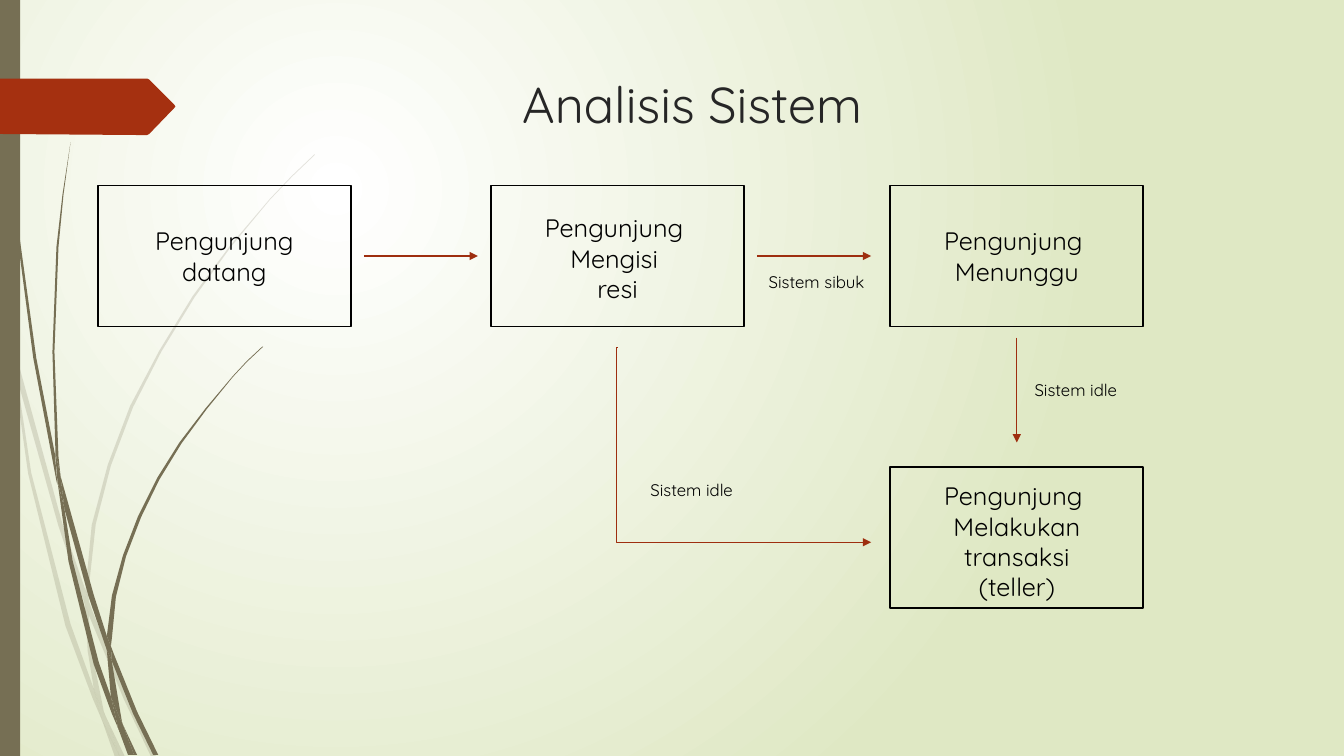
import dataclasses

import lxml.etree
import pptx
import pptx.dml.color
import pptx.enum.shapes
import pptx.enum.text
import pptx.oxml.ns
import pptx.util

Inches = pptx.util.Inches
qn = pptx.oxml.ns.qn


@dataclasses.dataclass(frozen=True)
class Theme:
    """Colours, font and type sizes of the slide."""
    font: str = "Quicksand"
    title_size: int = 36
    box_size: int = 18
    label_size: int = 12
    title: str = "262626"
    text: str = "000000"
    arrow: str = "9E2E0F"
    marker: str = "A53010"
    stem: str = "766F54"
    glow: str = "FFFFFF"
    backdrop: str = "DFE8C4"


THEME = Theme()

# Outlines of the grass blades, as points on the slide.
PALE_BLADES = [
    [(.11, 3.5), (.09, 3.22), (0, 2.82), (0, 2.99), (.1, 3.44)],
    [(.58, 5.22), (.84, 5.99), (.85, 5.86), (.62, 5.2), (.14, 3.45), (.17, 3.76)],
    [(.92, 6.07), (.88, 5.96), (.88, 6.1), (1.23, 6.94), (1.5, 7.51), (1.55, 7.51),
     (1.27, 6.92)],
    [(1.19, 7.51), (1.24, 7.51), (1.05, 7.11)],
    [(.93, 6.83), (.7, 6.19), (.31, 4.69), (.17, 3.76), (.11, 3.5), (.28, 4.7),
     (.65, 6.21), (.92, 6.93), (1.01, 7.14), (.99, 7.07)],
    [(.84, 5.99), (.87, 6.46), (.93, 6.83), (.96, 6.92), (1.05, 7.11), (1.03, 7.06),
     (.91, 6.46), (.88, 6.1), (.88, 6.08)],
    [(.88, 5.84), (.95, 5.2), (1.1, 4.62), (1.32, 4.04), (1.6, 3.49), (1.93, 2.95),
     (2.29, 2.45), (2.68, 1.98), (2.9, 1.75), (3.12, 1.54), (3.12, 1.53), (2.89, 1.75),
     (2.68, 1.97), (2.28, 2.44), (1.91, 2.94), (1.58, 3.48), (1.29, 4.03), (1.07, 4.61),
     (.91, 5.21), (.85, 5.84), (.85, 5.86), (.88, 5.96)],
    [(1.01, 7.14), (1.14, 7.51), (1.19, 7.51)],
    [(.88, 6.08), (.88, 6.1), (.88, 5.96), (.85, 5.86), (.84, 5.99)],
    [(.96, 6.92), (.93, 6.83), (.99, 7.07), (1.01, 7.14), (1.19, 7.51), (1.05, 7.11)],
]
DARK_BLADES = [
    [(.07, 1.1), (.17, 2.33), (.33, 3.55), (.56, 4.77), (.57, 4.81), (.55, 4.57),
     (.55, 4.53), (.36, 3.55), (.19, 2.32), (.08, 1.09), (.05, .48), (.04, 0), (.03, 0),
     (.04, .48)],
    [(.88, 5.92), (1.06, 6.45), (1.06, 6.33), (1.06, 6.31), (.93, 5.9), (.6, 4.72),
     (.64, 5.05)],
    [(1.13, 6.49), (1.1, 6.41), (1.11, 6.56), (1.32, 7.08), (1.52, 7.49), (1.57, 7.49),
     (1.36, 7.06)],
    [(1.1, 6.91), (.98, 6.57), (.72, 5.56), (.64, 5.05), (.57, 4.77), (.68, 5.57),
     (.93, 6.59), (1.11, 7.08), (1.17, 7.22), (1.16, 7.17)],
    [(.6, 4.72), (.58, 4.53), (.54, 3.49), (.58, 2.45), (.63, 1.93), (.7, 1.41),
     (.62, 1.93), (.56, 2.45), (.52, 3.49), (.55, 4.49)],
    [(1.33, 7.49), (1.36, 7.49), (1.22, 7.19)],
    [(.57, 4.77), (.64, 5.05), (.6, 4.72), (.55, 4.49), (.55, 4.53)],
    [(1.11, 6.33), (1.15, 5.92), (1.25, 5.52), (1.4, 5.13), (1.58, 4.76), (1.8, 4.4),
     (2.05, 4.06), (2.31, 3.74), (2.45, 3.59), (2.61, 3.44), (2.6, 3.44), (2.45, 3.58),
     (2.31, 3.73), (2.04, 4.05), (1.78, 4.39), (1.56, 4.74), (1.37, 5.12), (1.22, 5.51),
     (1.11, 5.91), (1.06, 6.31), (1.1, 6.41)],
    [(1.17, 7.22), (1.27, 7.49), (1.31, 7.49)],
    [(1.06, 6.45), (1.1, 6.91), (1.16, 7.06), (1.22, 7.19), (1.21, 7.16), (1.11, 6.56),
     (1.09, 6.51)],
    [(1.06, 6.45), (1.09, 6.51), (1.11, 6.56), (1.1, 6.41), (1.06, 6.31), (1.06, 6.33)],
    [(1.16, 7.06), (1.1, 6.91), (1.16, 7.17), (1.17, 7.22), (1.3, 7.49), (1.33, 7.49),
     (1.22, 7.19)],
]
MARKER = [(1.74, 1.06), (1.48, 1.33), (1.46, 1.34), (1.36, 1.34), (0, 1.33), (0, .78),
          (1.36, .78), (1.46, .78), (1.48, .79), (1.73, 1.04)]


def rgb(value):
    """Turn a hex string into a colour."""
    return pptx.dml.color.RGBColor.from_string(value)


def set_text(shape, text, size, color):
    """Fill a shape with centred text, one paragraph per line."""
    frame = shape.text_frame
    frame.text = text
    frame.word_wrap = True
    for paragraph in frame.paragraphs:
        paragraph.alignment = pptx.enum.text.PP_ALIGN.CENTER
        for run in paragraph.runs:
            run.font.name = THEME.font
            run.font.size = pptx.util.Pt(size)
            run.font.color.rgb = rgb(color)


def paint(shape, color):
    """Give a shape a plain fill without outline or shadow."""
    shape.shadow.inherit = False
    shape.fill.solid()
    shape.fill.fore_color.rgb = rgb(color)
    shape.line.fill.background()


def add_background(slide):
    """Lay a round glow in the upper left over the backdrop."""
    fill = slide.background.fill
    fill.gradient()
    for stop, color in zip(fill.gradient_stops, (THEME.glow, THEME.backdrop)):
        stop.color.rgb = rgb(color)
    linear = slide.element.find(".//" + qn("a:lin"))
    circle = lxml.etree.Element(qn("a:path"), path="circle")
    lxml.etree.SubElement(circle, qn("a:fillToRect"),
                          l="50000", t="50000", r="100000", b="100000")
    linear.getparent().replace(linear, circle)


def add_outline(slide, points, color, opacity=100):
    """Draw a filled closed outline through points in inches."""
    start, *others = [tuple(map(Inches, point)) for point in points]
    builder = slide.shapes.build_freeform(*start)
    builder.add_line_segments(others, close=True)
    shape = builder.convert_to_shape()
    paint(shape, color)
    if opacity < 100:
        tint = shape.element.spPr.find(qn("a:solidFill"))[0]
        lxml.etree.SubElement(tint, qn("a:alpha"), val=str(opacity * 1000))


def add_decoration(slide, height):
    """Draw the grass, the side bar and the title marker."""
    for blades, opacity in ((PALE_BLADES, 20), (DARK_BLADES, 100)):
        for blade in blades:
            add_outline(slide, blade, THEME.stem, opacity)
    bar = slide.shapes.add_shape(pptx.enum.shapes.MSO_SHAPE.RECTANGLE,
                                 0, 0, Inches(0.2), height)
    paint(bar, THEME.stem)
    add_outline(slide, MARKER, THEME.marker)


def add_title(slide, text, left, top, width, height):
    """Place and format the title placeholder."""
    title = slide.shapes.title
    title.left, title.top, title.width, title.height = map(Inches, (left, top, width, height))
    set_text(title, text, THEME.title_size, THEME.title)
    title.text_frame.vertical_anchor = pptx.enum.text.MSO_ANCHOR.TOP


def add_text(slide, text, size, left, top, width, height):
    """Add a text box that grows with its text."""
    box = slide.shapes.add_textbox(*map(Inches, (left, top, width, height)))
    set_text(box, text, size, THEME.text)
    box.text_frame.auto_size = pptx.enum.text.MSO_AUTO_SIZE.SHAPE_TO_FIT_TEXT


def add_step(slide, text, text_top, text_height, left, top, width, height):
    """Add one outlined step of the flow with its wording inside."""
    step = slide.shapes.add_shape(pptx.enum.shapes.MSO_SHAPE.RECTANGLE,
                                  *map(Inches, (left, top, width, height)))
    step.shadow.inherit = False
    step.fill.background()
    step.line.color.rgb = rgb(THEME.text)
    step.line.width = pptx.util.Pt(1.25)
    inset = 0.37
    add_text(slide, text, THEME.box_size,
             left + inset, top + text_top, width - 2 * inset, text_height)


def add_arrow(slide, start, end, bend=None):
    """Add an arrow; bend places the knee of an elbow, in 1/100000 of its width."""
    kinds = pptx.enum.shapes.MSO_CONNECTOR
    kind = kinds.STRAIGHT if bend is None else kinds.ELBOW
    arrow = slide.shapes.add_connector(kind, *map(Inches, start + end))
    arrow.line.color.rgb = rgb(THEME.arrow)
    arrow.line.width = pptx.util.Pt(0.75)
    properties = arrow.element.spPr
    lxml.etree.SubElement(properties.find(qn("a:ln")), qn("a:tailEnd"), type="triangle")
    lxml.etree.SubElement(properties, qn("a:effectLst"))
    if bend is not None:
        guides = properties.find(".//" + qn("a:avLst"))
        lxml.etree.SubElement(guides, qn("a:gd"), name="adj1", fmla=f"val {bend}")


def add_flow(slide, left, top):
    """Draw the visitor flow from its upper left corner."""
    width, height, drop, gap = 2.51, 1.4, 2.79, 0.13
    columns = [left, left + 3.9, left + 7.86]
    steps = [("Pengunjung datang", 0.35, 0.71, 0, 0),
             ("Pengunjung \nMengisi \nresi", 0.22, 1.01, 1, 0),
             ("Pengunjung \nMenunggu", 0.35, 0.71, 2, 0),
             ("Pengunjung \nMelakukan transaksi (teller)", 0.09, 1.31, 2, drop)]
    for text, text_top, text_height, column, offset in steps:
        add_step(slide, text, text_top, text_height,
                 columns[column], top + offset, width, height)

    middle = top + height / 2
    for column in columns[:2]:
        start = column + width + gap
        add_arrow(slide, (start, middle), (start + gap + 1, middle))
    below = top + height
    waiting = columns[2] + width / 2
    add_arrow(slide, (waiting, below + 0.11), (waiting, below + 1.15))
    add_arrow(slide, (columns[1] + width / 2, below + 0.21),
              (columns[2] - 0.19, middle + drop + 0.05), bend=-600)

    labels = [("Sistem sibuk", 6.46, 0.81), ("Sistem idle", 9.03, 1.88),
              ("Sistem idle", 5.22, 2.87)]
    for text, across, down in labels:
        add_text(slide, text, THEME.label_size, left + across, top + down, 1.34, 0.3)


def main():
    """Build and save the slide."""
    presentation = pptx.Presentation()
    presentation.slide_width = Inches(13.33)
    presentation.slide_height = Inches(7.5)
    slide = presentation.slides.add_slide(presentation.slide_layouts[5])
    add_background(slide)
    add_decoration(slide, presentation.slide_height)
    add_title(slide, "Analisis Sistem", 1.99, 0.68, 9.75, 1.4)
    add_flow(slide, 0.97, 1.84)
    presentation.save("out.pptx")


main()
